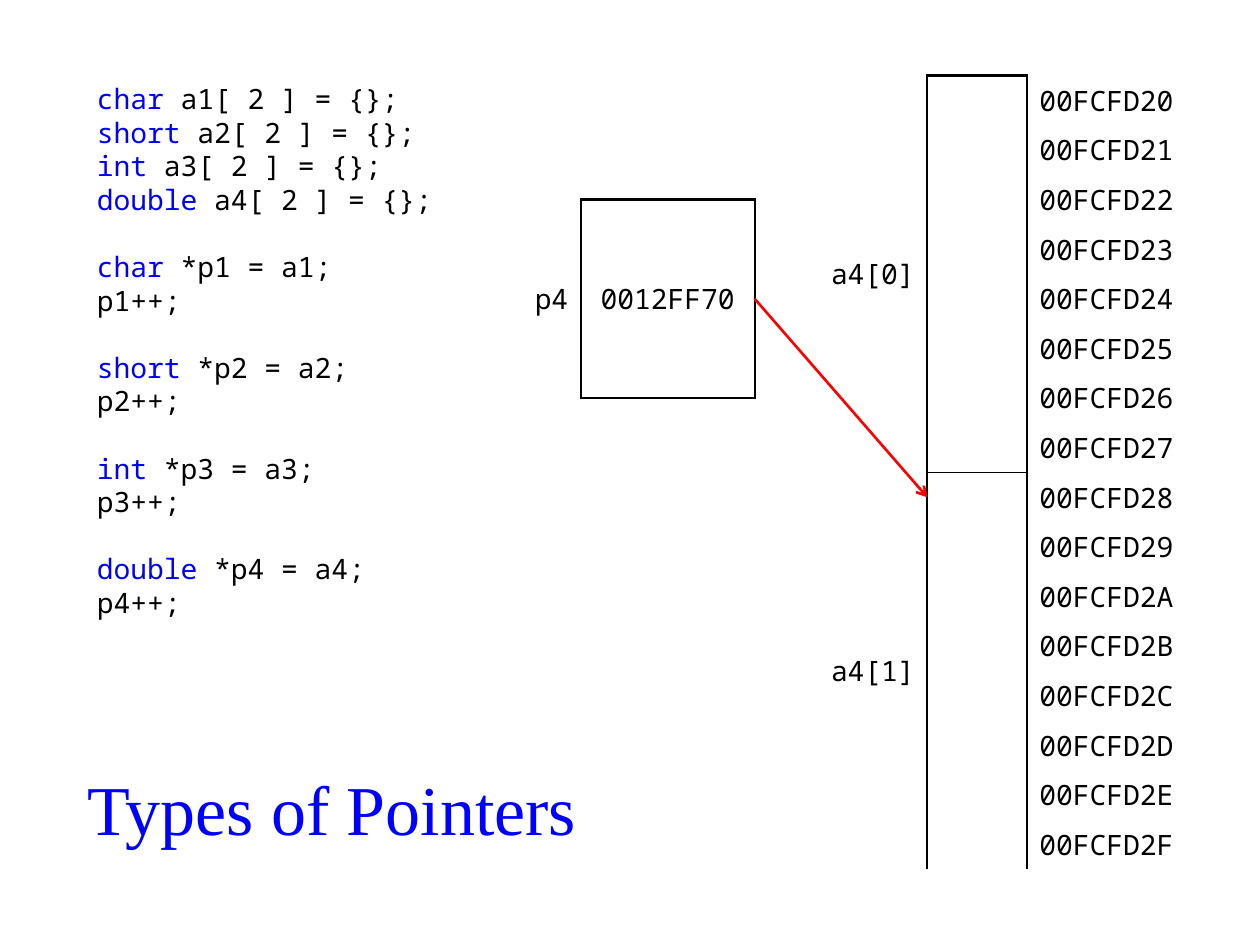
from dataclasses import dataclass

from lxml.etree import SubElement
from pptx import Presentation
from pptx.dml.color import RGBColor
from pptx.enum.shapes import MSO_CONNECTOR
from pptx.enum.text import MSO_ANCHOR, PP_ALIGN
from pptx.oxml.ns import qn
from pptx.util import Inches, Pt


@dataclass(frozen=True)
class Theme:
    black: RGBColor = RGBColor(0, 0, 0)
    blue: RGBColor = RGBColor(0, 0, 255)
    red: RGBColor = RGBColor(255, 0, 0)
    code_font: str = "Noto Sans Mono"
    title_font: str = "Times New Roman"
    code_size: float = 16
    title_size: float = 40
    code_pitch: float = 19.2
    thick: float = 1.5
    thin: float = 1


THEME = Theme()
TITLE = "Types of Pointers"
CODE_BLOCKS = [
    [("char", " a1[ 2 ] = {};"), ("short", " a2[ 2 ] = {};"),
     ("int", " a3[ 2 ] = {};"), ("double", " a4[ 2 ] = {};")],
    [("char", " *p1 = a1;"), ("", "p1++;")],
    [("short", " *p2 = a2;"), ("", "p2++;")],
    [("int", " *p3 = a3;"), ("", "p3++;")],
    [("double", " *p4 = a4;"), ("", "p4++;")],
]
ELEMENTS = ["a4[0]", "a4[1]"]
ELEMENT_BYTES = 8
ADDRESSES = [f"00FCFD{0x20 + byte:X}" for byte in range(ELEMENT_BYTES * len(ELEMENTS))]
POINTER = ("p4", "0012FF70")

TOP = 0.6
ROW = 6.3 / len(ADDRESSES)
MEMORY_LEFT, MEMORY_COLUMNS = 6.38, [0.98, 0.79, 1.38]
POINTER_LEFT, POINTER_COLUMNS = 4.02, [0.59, 1.38]
POINTER_FIRST_ROW, POINTER_ROWS = 2.5, 4


def write(paragraph, text, font=THEME.code_font, size=THEME.code_size,
          color=THEME.black, align=PP_ALIGN.LEFT):
    paragraph.alignment = align
    run = paragraph.add_run()
    run.text = text
    run.font.name = font
    run.font.size = Pt(size)
    run.font.color.rgb = color


def row_top(row):
    return TOP + row * ROW


def add_plain_table(slide, left, top, columns, row_count, row_height):
    frame = slide.shapes.add_table(
        row_count, len(columns), Inches(left), Inches(top),
        Inches(sum(columns)), Inches(row_count * row_height))
    table = frame.table
    table.first_row = table.horz_banding = False
    for column, width in zip(table.columns, columns):
        column.width = Inches(width)
    for row in table.rows:
        row.height = Inches(row_height)
    return table


def format_cell(cell, **borders):
    cell.vertical_anchor = MSO_ANCHOR.MIDDLE
    cell.margin_left = cell.margin_right = Inches(0.1)
    cell.margin_top = cell.margin_bottom = Inches(0.02)
    properties = cell._tc.get_or_add_tcPr()
    for side in "LRTB":
        line = SubElement(properties, qn(f"a:ln{side}"))
        if side in borders:
            line.set("w", str(Pt(borders[side])))
            fill = SubElement(line, qn("a:solidFill"))
            SubElement(fill, qn("a:srgbClr")).set("val", str(THEME.black))
        else:
            SubElement(line, qn("a:noFill"))
    cell.fill.background()


def add_title(slide):
    title = slide.shapes.title
    title.left, title.top = Inches(0.47), Inches(5.92)
    title.width, title.height = Inches(4.33), Inches(0.98)
    title.text_frame.vertical_anchor = MSO_ANCHOR.MIDDLE
    write(title.text_frame.paragraphs[0], TITLE, font=THEME.title_font,
          size=THEME.title_size, color=THEME.blue, align=PP_ALIGN.CENTER)


def add_code(slide):
    box = slide.shapes.add_textbox(Inches(0.67), Inches(TOP), Inches(2.95), Inches(4.53))
    frame = box.text_frame
    frame.word_wrap = True
    paragraph = frame.paragraphs[0]
    for block_number, block in enumerate(CODE_BLOCKS):
        for line_number, (keyword, rest) in enumerate(block):
            if block_number or line_number:
                paragraph = frame.add_paragraph()
            starts_block = block_number and not line_number
            paragraph.space_before = Pt(THEME.code_pitch if starts_block else 0)
            paragraph.line_spacing = Pt(THEME.code_pitch)
            if keyword:
                write(paragraph, keyword, color=THEME.blue)
            write(paragraph, rest)


def add_memory(slide):
    table = add_plain_table(slide, MEMORY_LEFT, TOP, MEMORY_COLUMNS, len(ADDRESSES), ROW)
    for row, address in enumerate(ADDRESSES):
        edges = {"L": THEME.thick, "R": THEME.thick}
        if row % ELEMENT_BYTES == 0:
            edges["T"] = THEME.thin if row else THEME.thick
        if (row + 1) % ELEMENT_BYTES == 0:
            edges["B"] = THEME.thick if row + 1 == len(ADDRESSES) else THEME.thin
        format_cell(table.cell(row, 0), R=THEME.thick)
        format_cell(table.cell(row, 1), **edges)
        format_cell(table.cell(row, 2), L=THEME.thick)
        write(table.cell(row, 2).text_frame.paragraphs[0], address)
    for index, element in enumerate(ELEMENTS):
        first = index * ELEMENT_BYTES
        for column in (0, 1):
            table.cell(first, column).merge(table.cell(first + ELEMENT_BYTES - 1, column))
        write(table.cell(first, 0).text_frame.paragraphs[0], element, align=PP_ALIGN.RIGHT)


def add_pointer(slide):
    table = add_plain_table(slide, POINTER_LEFT, row_top(POINTER_FIRST_ROW),
                            POINTER_COLUMNS, 1, POINTER_ROWS * ROW)
    name, value = table.cell(0, 0), table.cell(0, 1)
    format_cell(name, R=THEME.thick)
    format_cell(value, **dict.fromkeys("LRTB", THEME.thick))
    write(name.text_frame.paragraphs[0], POINTER[0], align=PP_ALIGN.RIGHT)
    write(value.text_frame.paragraphs[0], POINTER[1], align=PP_ALIGN.CENTER)


def add_arrow(slide):
    start_row = POINTER_FIRST_ROW + POINTER_ROWS / 2
    arrow = slide.shapes.add_connector(
        MSO_CONNECTOR.STRAIGHT,
        Inches(POINTER_LEFT + sum(POINTER_COLUMNS)), Inches(row_top(start_row)),
        Inches(MEMORY_LEFT + MEMORY_COLUMNS[0]), Inches(row_top(ELEMENT_BYTES + 0.5)))
    arrow.line.color.rgb = THEME.red
    arrow.line.width = Pt(THEME.thick)
    SubElement(arrow.line._get_or_add_ln(), qn("a:tailEnd")).set("type", "arrow")
    SubElement(arrow._element.spPr, qn("a:effectLst"))


def main():
    presentation = Presentation()
    presentation.slide_width, presentation.slide_height = Inches(10), Inches(7.5)
    slide = presentation.slides.add_slide(presentation.slide_layouts[5])
    add_title(slide)
    add_code(slide)
    add_memory(slide)
    add_pointer(slide)
    add_arrow(slide)
    presentation.save("out.pptx")


if __name__ == "__main__":
    main()
